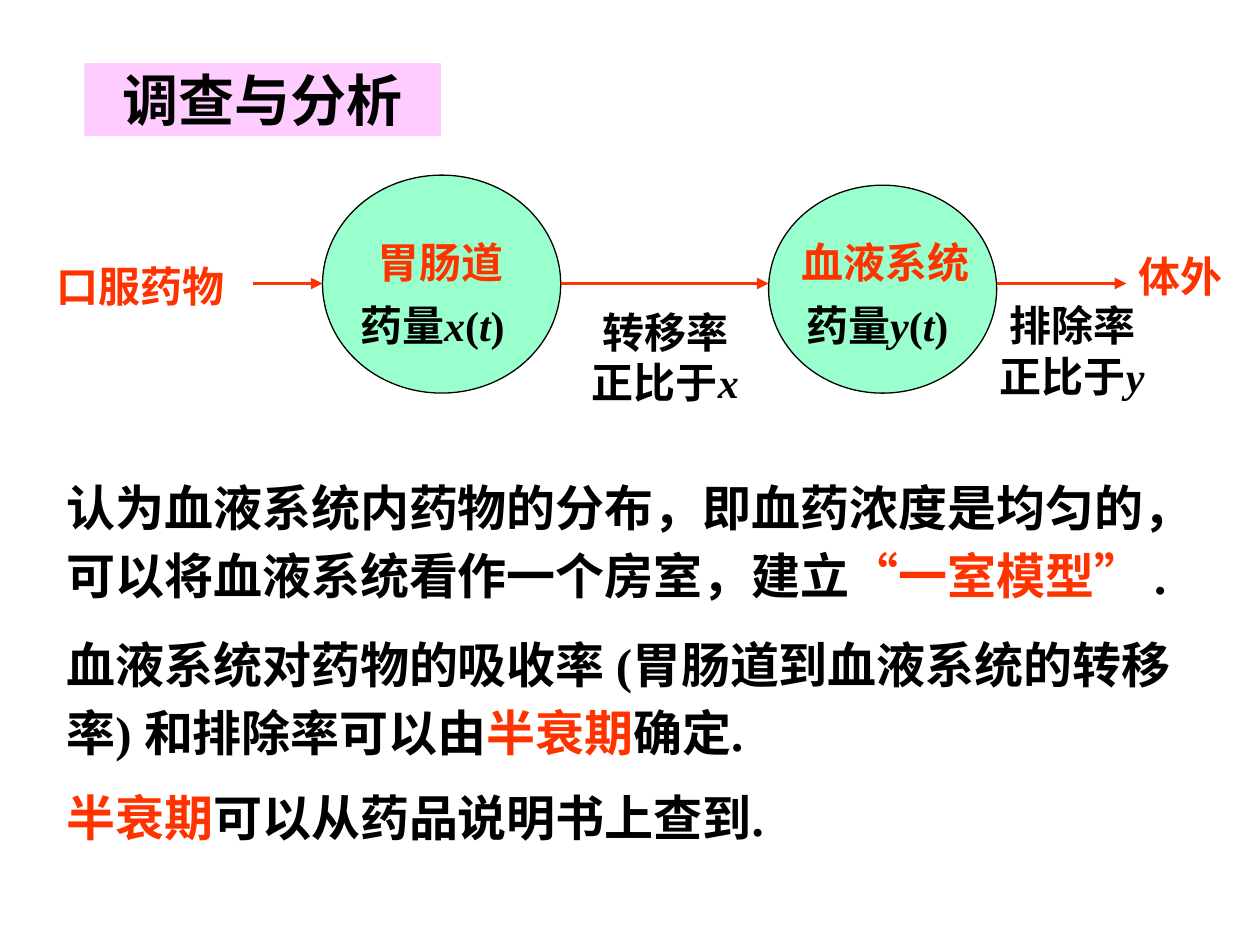
from dataclasses import dataclass
from typing import NamedTuple

from lxml.etree import SubElement
from pptx import Presentation
from pptx.dml.color import RGBColor
from pptx.enum.lang import MSO_LANGUAGE_ID as Lang
from pptx.enum.shapes import MSO_CONNECTOR as Link, MSO_SHAPE as Form
from pptx.enum.text import MSO_ANCHOR as Anchor, PP_ALIGN as Align
from pptx.oxml.ns import qn
from pptx.util import Inches, Pt

BLACK = RGBColor(0x00, 0x00, 0x00)
RED = RGBColor(0xFF, 0x33, 0x00)
PINK = RGBColor(0xFF, 0xCC, 0xFF)
MINT = RGBColor(0x99, 0xFF, 0xCC)
FONT = "Times New Roman"

COLS, ROWS = 100, 75
CELL = Inches(0.1)
AXIS = 22.5  # row of the flow arrows


class Run(NamedTuple):
    text: str
    color: RGBColor = BLACK
    slant: bool = False


class Box(NamedTuple):
    """Left, top, width and height in grid cells."""
    col: float
    row: float
    wide: float
    high: float


@dataclass
class Label:
    box: Box
    runs: list[Run]
    align: Align = Align.LEFT
    wrap: bool = True


@dataclass
class Block:
    box: Box
    runs: list[Run]
    lead: float = 1.0
    anchor: Anchor = Anchor.MIDDLE


def cells(*sizes: float) -> list[int]:
    return [round(size * CELL) for size in sizes]


def amount(name: str) -> list[Run]:
    return [Run("药量"), Run(name, slant=True), Run("("),
            Run("t", slant=True), Run(")")]


def write(shape, runs: list[Run], *, size=24, align=Align.LEFT,
          anchor=Anchor.TOP, wrap=True, lead=None) -> None:
    frame = shape.text_frame
    frame.word_wrap = wrap
    frame.vertical_anchor = anchor
    para = frame.paragraphs[0]
    para.alignment = align
    if lead:
        para.line_spacing = lead
    for part in runs:
        run = para.add_run()
        run.text = part.text
        font = run.font
        font.name, font.size, font.bold = FONT, Pt(size), True
        font.italic = part.slant
        font.color.rgb = part.color
        font.language_id = Lang.SIMPLIFIED_CHINESE


def add_form(slide, form: Form, box: Box, fill: RGBColor, line=None):
    shape = slide.shapes.add_shape(form, *cells(*box))
    shape.shadow.inherit = False
    shape.fill.solid()
    shape.fill.fore_color.rgb = fill
    if line is None:
        shape.line.fill.background()
    else:
        shape.line.color.rgb = line
        shape.line.width = Pt(0.75)
    return shape


def add_text(slide, box: Box, runs: list[Run], **style) -> None:
    write(slide.shapes.add_textbox(*cells(*box)), runs, **style)


def add_arrow(slide, start: float, end: float) -> None:
    """Draw an arrow along the flow axis between two columns."""
    link = slide.shapes.add_connector(
        Link.STRAIGHT, *cells(start, AXIS, end, AXIS))
    link.line.color.rgb = RED
    link.line.width = Pt(2.25)
    props = link._element.spPr
    SubElement(props.find(qn("a:ln")), qn("a:tailEnd"), type="triangle")
    SubElement(props, qn("a:effectLst"))


GUT = Box(25.6, 13.9, 18.9, 17.3)
BLOOD = Box(61, 14.7, 18.1, 16.5)
ARROWS = [(20.1, GUT.col), (GUT.col + GUT.wide, BLOOD.col),
          (BLOOD.col + BLOOD.wide, 89.4)]

LABELS = [
    Label(Box(3.5, 20.2, 17.4, 5), [Run("口服药物", RED)]),
    Label(Box(28.7, 18.3, 12.5, 5), [Run("胃肠道", RED)], Align.CENTER),
    Label(Box(62.6, 18.3, 15.8, 5), [Run("血液系统", RED)]),
    Label(Box(89.4, 19.4, 8.7, 5), [Run("体外", RED)]),
    Label(Box(27.6, 23.3, 14.3, 5), amount("x"), wrap=False),
    Label(Box(63, 23.3, 14.1, 5), amount("y"), wrap=False),
    Label(Box(45.3, 23.8, 15, 9),
          [Run("转移率正比于"), Run("x", slant=True)], Align.CENTER),
    Label(Box(77.6, 23.3, 15, 9),
          [Run("排除率正比于"), Run("y", slant=True)], Align.CENTER),
]

BLOCKS = [
    Block(Box(4.3, 36.7, 92.1, 11.8),
          [Run("认为血液系统内药物的分布，即血药浓度是均匀的，"
               "可以将血液系统看作一个房室，建立"),
           Run("“一室模型” ", RED), Run(".")], 1.15),
    Block(Box(4.3, 49.2, 92.1, 11.8),
          [Run("血液系统对药物的吸收率 (胃肠道到血液系统的转移率) "
               "和排除率可以由"),
           Run("半衰期", RED), Run("确定.")], 1.15, Anchor.TOP),
    Block(Box(4.3, 59.6, 57.5, 10.4),
          [Run("半衰期", RED), Run("可以从药品说明书上查到.")]),
]


def main() -> None:
    deck = Presentation()
    deck.slide_width, deck.slide_height = cells(COLS, ROWS)
    slide = deck.slides.add_slide(deck.slide_layouts[6])

    title = add_form(slide, Form.RECTANGLE, Box(6.7, 5, 28.3, 5.8), PINK)
    write(title, [Run("调查与分析")], size=32, align=Align.CENTER,
          anchor=Anchor.MIDDLE, wrap=False)

    for room in (GUT, BLOOD):
        add_form(slide, Form.OVAL, room, MINT, BLACK)
    for start, end in ARROWS:
        add_arrow(slide, start, end)
    for label in LABELS:
        add_text(slide, label.box, label.runs,
                 align=label.align, wrap=label.wrap)
    for block in BLOCKS:
        add_text(slide, block.box, block.runs, size=28,
                 lead=block.lead, anchor=block.anchor)

    deck.save("out.pptx")


if __name__ == "__main__":
    main()
